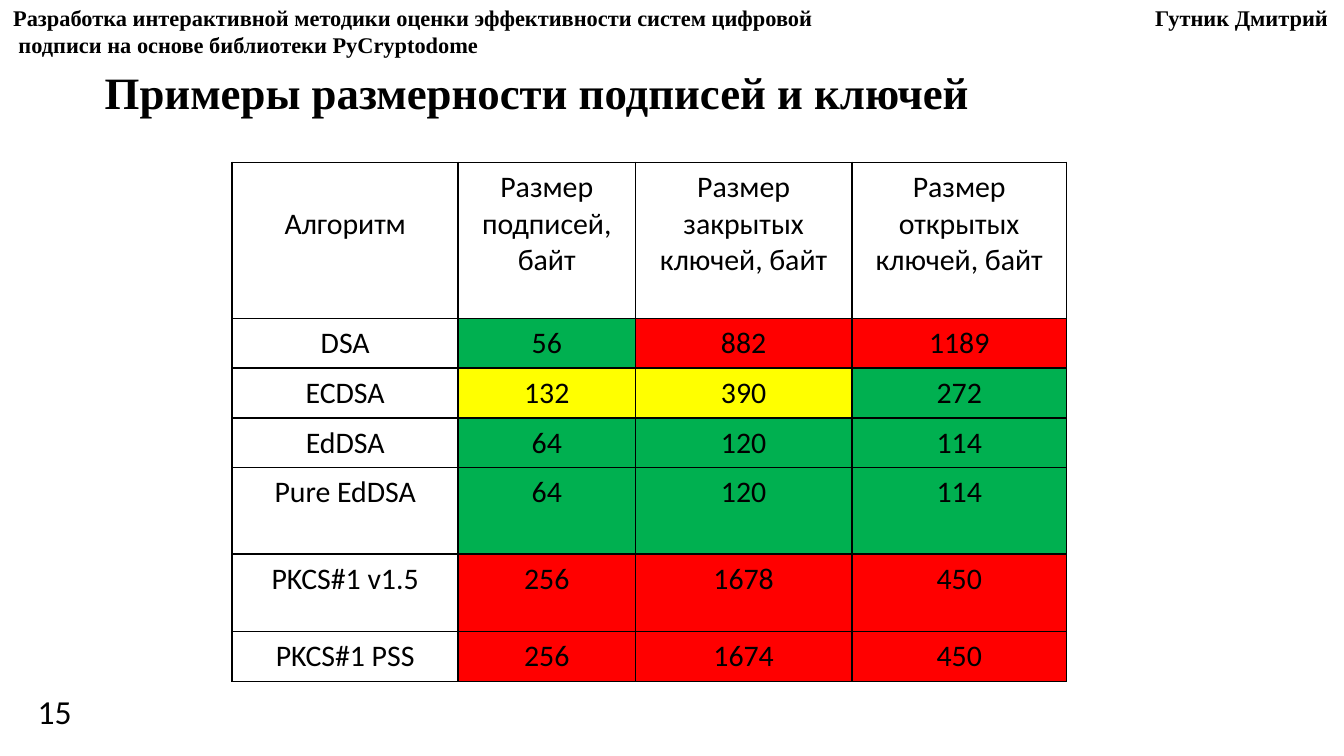
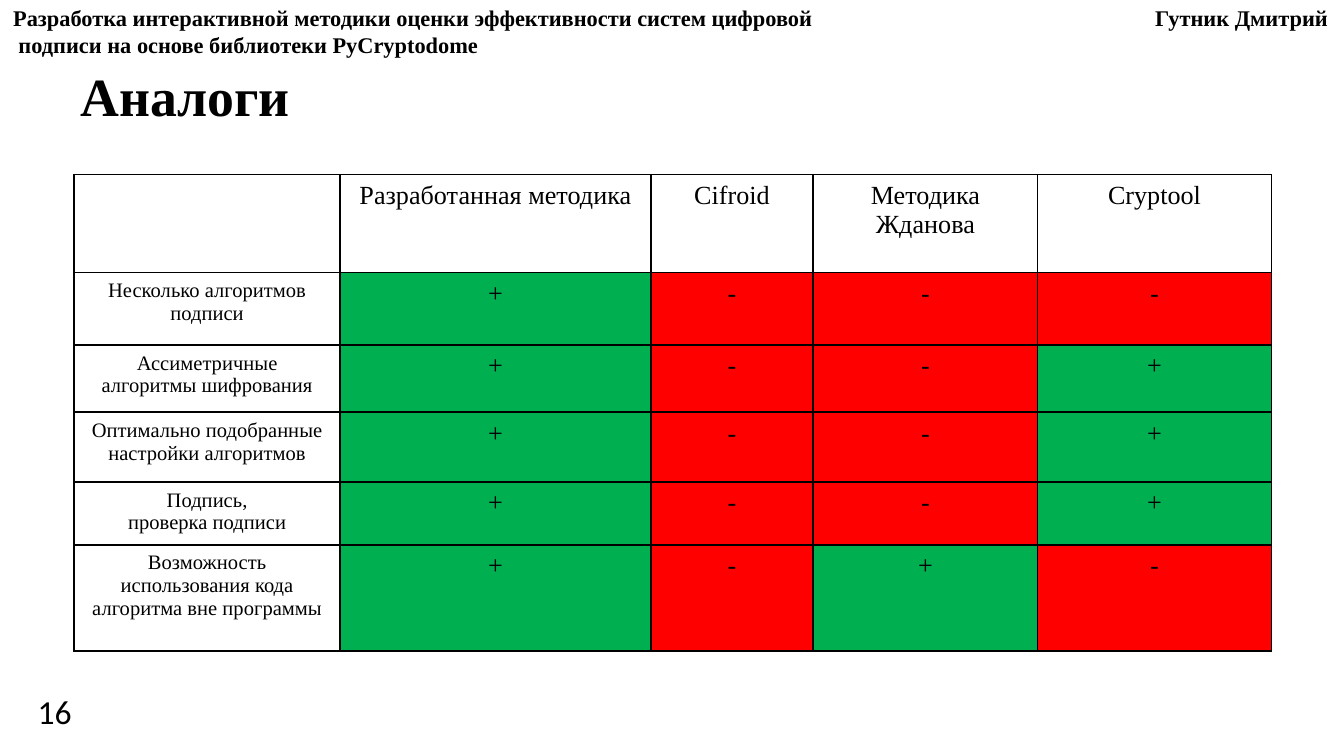
from lxml import etree
from pptx import Presentation
from pptx import util as u
from pptx.dml.color import RGBColor
from pptx.enum import text
from pptx.oxml import ns

# Content
HEAD = ("Разработка интерактивной методики оценки эффективности систем цифровой",
        "Гутник Дмитрий",
        "подписи на основе библиотеки PyCryptodome")

# Each row: label, values, one colour letter per value
SIZES = [
    ("DSA", ("56", "882", "1189"), "grr"),
    ("ECDSA", ("132", "390", "272"), "yyg"),
    ("EdDSA", ("64", "120", "114"), "ggg"),
    ("Pure EdDSA", ("64", "120", "114"), "ggg"),
    ("PKCS#1 v1.5", ("256", "1678", "450"), "rrr"),
    ("PKCS#1 PSS", ("256", "1674", "450"), "rrr"),
]
RIVALS = [
    ("Несколько алгоритмов подписи", "+---", "grrr"),
    ("Ассиметричные алгоритмы шифрования", "+--+", "grrg"),
    ("Оптимально подобранные настройки алгоритмов", "+--+", "grrg"),
    ("Подпись,\nпроверка подписи", "+--+", "grrg"),
    ("Возможность использования кода алгоритма вне программы", "+-+-", "grgr"),
]

SERIF, SANS = "Times New Roman", "Calibri"
COLORS = {"ink": "000000", "w": "FFFFFF", "g": "00B050", "r": "FF0000", "y": "FFFF00"}

# Lengths are in centimetres, text sizes in points
SLIDES = [
    dict(num=15, title="Примеры размерности подписей и ключей",
         box=(1.73, 0.99, 19.2, 1.47), size=24,
         heads=("Алгоритм", "Размер подписей, байт",
                "Размер закрытых ключей, байт", "Размер открытых ключей, байт"),
         rows=SIZES, at=(4.39, 3.07), font=SANS, body=16, label=16, drop=0.69,
         cols=(4.27, 3.35, 4.09, 4.06),
         tall=(2.95, 0.94, 0.94, 0.94, 1.63, 1.47, 0.94)),
    dict(num=16, title="Аналоги",
         box=(1.27, 1.07, 19.69, 1.47), size=28.8,
         heads=("", "Разработанная методика", "Cifroid", "Методика Жданова", "Cryptool"),
         rows=RIVALS, at=(1.4, 3.3), font=SERIF, body=14, label=11, drop=0,
         cols=(5.03, 5.87, 3.07, 4.24, 4.42),
         tall=(1.85, 1.37, 1.27, 1.32, 1.19, 2.01)),
]


def color(key):
    return RGBColor.from_string(COLORS[key])


def style(frame, font, size, bold=False, align=None):
    for par in frame.paragraphs:
        par.alignment = align
        par.font.size = u.Pt(size)
        for run in par.runs:
            run.font.name, run.font.size = font, u.Pt(size)
            run.font.bold = bold
            run.font.color.rgb = color("ink")


def add_text(slide, box, words, font, size, bold=False, mid=False):
    frame = slide.shapes.add_textbox(*map(u.Cm, box)).text_frame
    frame.word_wrap = True
    if mid:
        frame.vertical_anchor = text.MSO_ANCHOR.MIDDLE
    frame.text = words
    style(frame, font, size, bold)
    return frame


def add_head(slide):
    topic, author, rest = HEAD
    frame = add_text(slide, (0, -0.05, 26.24, 1.27),
                     f"{topic}\t{author}\n{rest}", SERIF, 12, bold=True)
    first, last = (par._p.get_or_add_pPr() for par in frame.paragraphs)
    # Right tab for the author, small indent for the second line
    tabs = etree.SubElement(first, ns.qn("a:tabLst"))
    first.insert(0, tabs)
    etree.SubElement(tabs, ns.qn("a:tab"), pos=str(u.Cm(24.85)), algn="r")
    last.set("marL", str(u.Cm(0.1)))


def add_lines(cell):
    props = cell._tc.get_or_add_tcPr()
    for side in "LRTB":
        line = etree.SubElement(props, ns.qn(f"a:ln{side}"), w=str(u.Pt(1)))
        fill = etree.SubElement(line, ns.qn("a:solidFill"))
        etree.SubElement(fill, ns.qn("a:srgbClr"), val=COLORS["ink"])


def set_cell(cell, words, tint, font, size):
    add_lines(cell)
    cell.fill.solid()
    cell.fill.fore_color.rgb = color(tint)
    cell.text_frame.text = words
    style(cell.text_frame, font, size, align=text.PP_ALIGN.CENTER)


def add_grid(slide, page):
    cols, tall = page["cols"], page["tall"]
    area = (*page["at"], sum(cols), sum(tall))
    grid = slide.shapes.add_table(len(tall), len(cols), *map(u.Cm, area)).table
    grid.first_row = grid.horz_banding = False
    for col, wide in zip(grid.columns, cols):
        col.width = u.Cm(wide)
    for row, high in zip(grid.rows, tall):
        row.height = u.Cm(high)

    # Header row, then labels and tinted values
    for c, words in enumerate(page["heads"]):
        set_cell(grid.cell(0, c), words, "w", page["font"], page["body"])
    grid.cell(0, 0).margin_top = u.Cm(0.13 + page["drop"])
    for r, (label, vals, tints) in enumerate(page["rows"], 1):
        set_cell(grid.cell(r, 0), label, "w", page["font"], page["label"])
        for c, (val, tint) in enumerate(zip(vals, tints), 1):
            set_cell(grid.cell(r, c), val, tint, page["font"], page["body"])


def main():
    deck = Presentation()
    deck.slide_width, deck.slide_height = u.Cm(25.4), u.Cm(14.29)
    for page in SLIDES:
        slide = deck.slides.add_slide(deck.slide_layouts[6])
        add_text(slide, page["box"], page["title"], SERIF, page["size"],
                 bold=True, mid=True)
        add_grid(slide, page)
        add_head(slide)
        add_text(slide, (0.46, 12.93, 1.37, 1.02), str(page["num"]), SANS, 18)
    deck.save("out.pptx")


if __name__ == "__main__":
    main()
